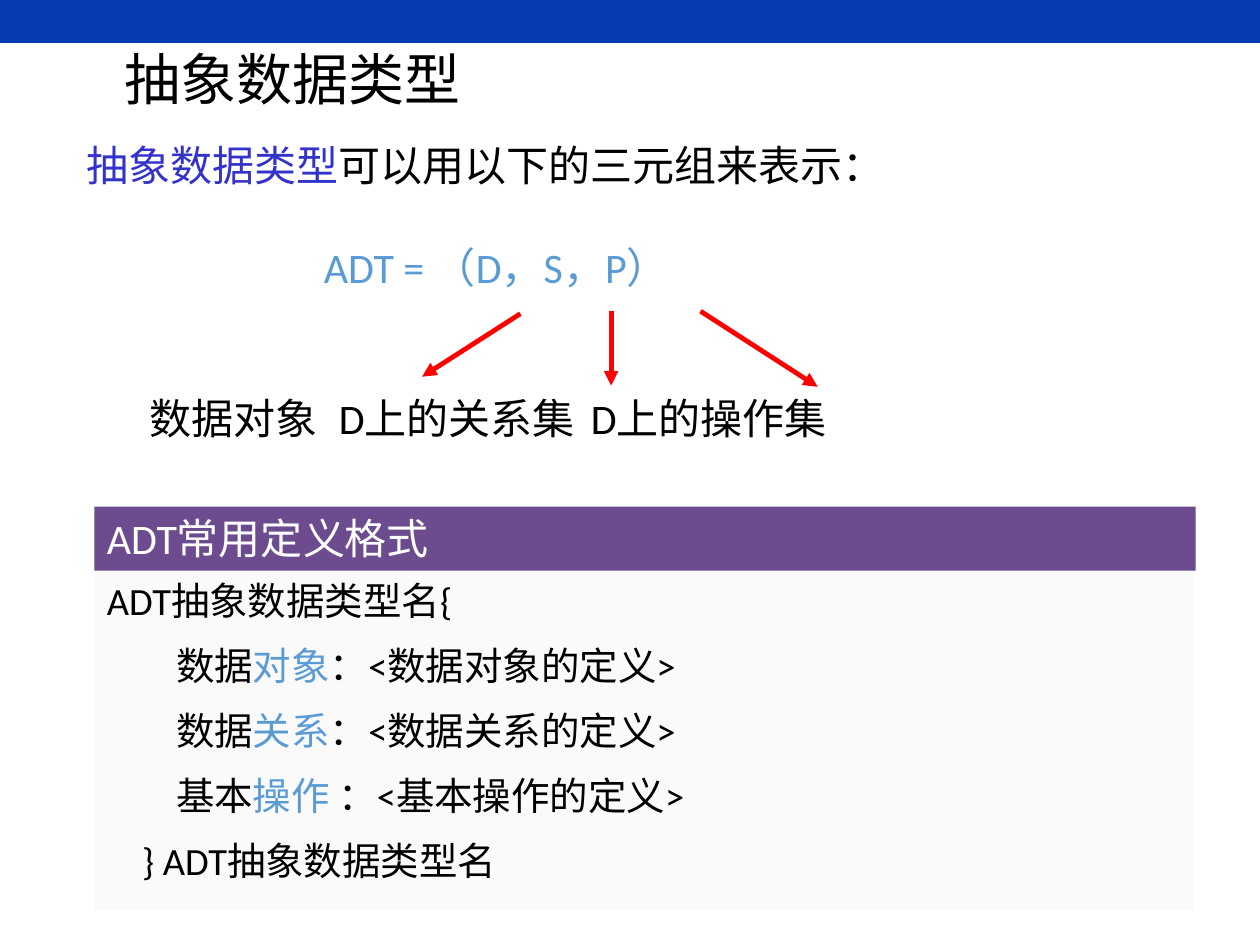
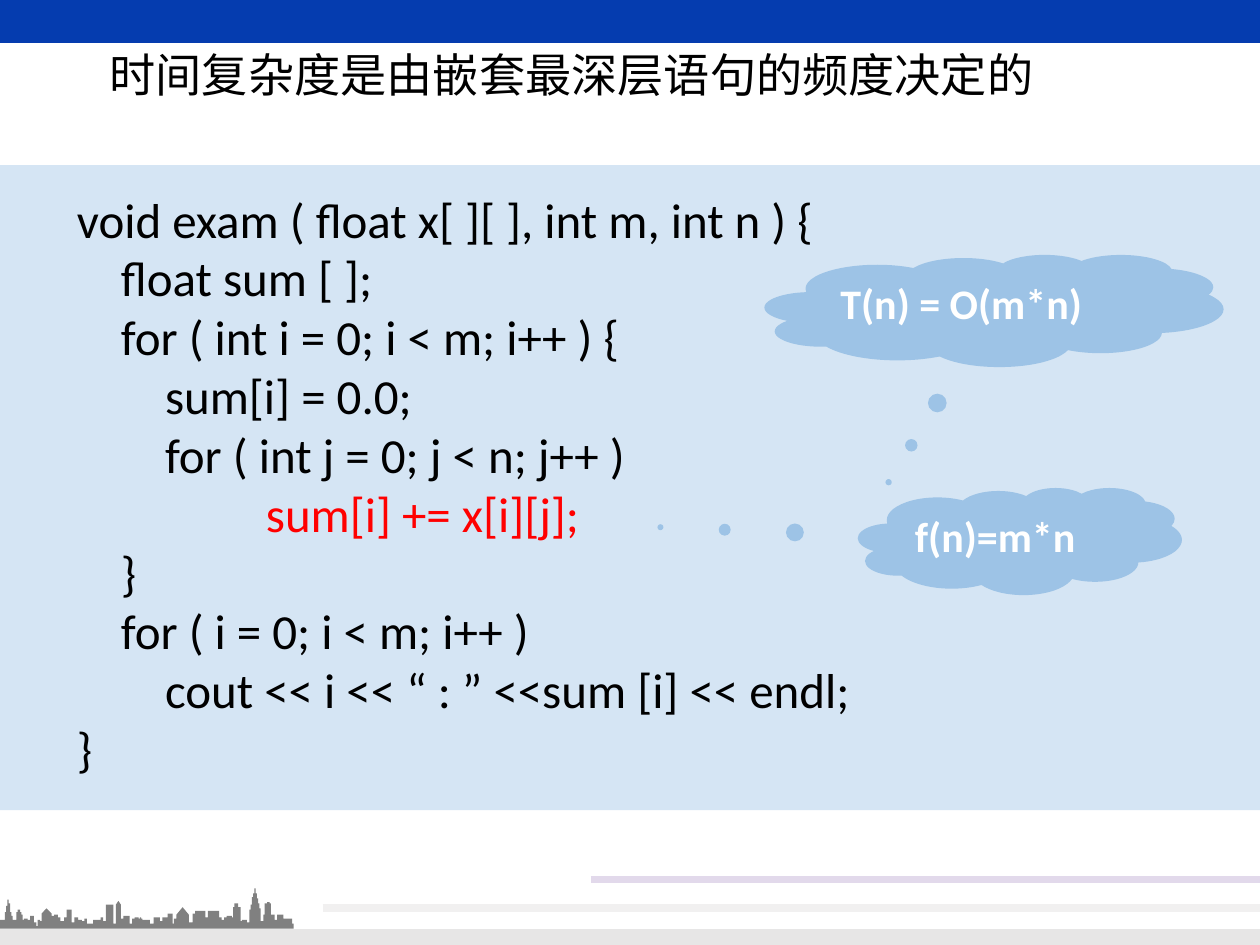
from dataclasses import dataclass

from lxml.etree import SubElement
from pptx import Presentation
from pptx.dml.color import RGBColor
from pptx.enum.shapes import MSO_CONNECTOR as Connector, MSO_SHAPE as Preset
from pptx.enum.text import MSO_ANCHOR as Anchor, MSO_AUTO_SIZE as AutoSize, PP_ALIGN as Align
from pptx.oxml.ns import qn
from pptx.util import Inches, Pt

COLORS = {
    "band": "053CAF", "black": "000000", "white": "FFFFFF", "term": "3333CC",
    "accent": "5B9BD5", "red": "FF0000", "header": "6C4C8F", "panel": "FAFAFA",
    "cloud": "9DC3E6", "skyline": "808080", "ground": "E7E6E6",
    "stripe": "F1F0F0", "lilac": "E2D9EB",
}
BODY_FONT = "Calibri"
TITLE_FONT = "Noto Sans CJK SC"


@dataclass(frozen=True)
class Frame:
    left: float
    top: float
    width: float
    height: float

    def lengths(self) -> list:
        return [Inches(v) for v in (self.left, self.top, self.width, self.height)]


@dataclass(frozen=True)
class Line:
    """One paragraph: (text, colour) spans, with indent and tabs in inches."""
    spans: tuple
    size: float = 24
    indent: float = 0
    before: float = 0
    tabs: tuple = ()
    bold: bool = False
    font: str = BODY_FONT
    spacing: float = 1.0


@dataclass(frozen=True)
class Stroke:
    start: tuple
    end: tuple
    color: str
    width: float
    arrow: bool = False


@dataclass(frozen=True)
class Cloud:
    frame: Frame
    text: str
    pointer: tuple


ARROWS = [
    Stroke((4.13, 2.49), (3.35, 2.99), "red", 2.75, True),
    Stroke((4.85, 2.47), (4.85, 3.06), "red", 2.75, True),
    Stroke((5.56, 2.47), (6.49, 3.07), "red", 2.75, True),
]
FOOTER = [
    Stroke((0, 7.45), (10, 7.45), "ground", 11.25),
    Stroke((2.56, 7.21), (10, 7.21), "stripe", 4.5),
    Stroke((4.69, 6.98), (10, 6.98), "lilac", 4.5),
]
CLOUDS = [
    Cloud(Frame(6.81, 3.87, 2.57, 0.85), "f(n)=m*n", (-1.11, -0.13)),
    Cloud(Frame(6.07, 2.02, 3.64, 0.89), "T(n) = O(m*n)", (-0.23, 1.53)),
]
FIELDS = [
    ("数据", "对象", "：<数据对象的定义>"),
    ("数据", "关系", "：<数据关系的定义>"),
    ("基本", "操作", " ：<基本操作的定义>"),
]
CODE = [  # indent in inches, text, colour
    (0.09, "void exam ( float x[ ][ ], int m, int n ) {", "black"),
    (0.44, "float sum [ ];", "black"),
    (0.44, "for ( int i = 0; i < m; i++ ) {", "black"),
    (0.79, "sum[i] = 0.0;", "black"),
    (0.79, "for ( int j = 0; j < n; j++ )", "black"),
    (1.59, "sum[i] += x[i][j];", "red"),
    (0.44, "}", "black"),
    (0.44, "for ( i = 0; i < m; i++ )", "black"),
    (0.79, "cout << i << “ : ” <<sum [i] << endl;", "black"),
    (0.09, "}", "black"),
]

# Hundredths of an inch: each roof runs from its x to the next x, at depth y below SKY_TOP.
SKY_TOP, GROUND = 700, 737
ROOFS = [
    (0, 30), (4, 24), (5, 19), (6, 14), (7, 17), (8, 24), (9, 27), (10, 30), (13, 24),
    (14, 22), (16, 24), (17, 26), (18, 30), (19, 29), (22, 30), (24, 27), (27, 32),
    (29, 35), (30, 30), (32, 31), (33, 25), (41, 27), (43, 26), (46, 28), (48, 31),
    (51, 28), (53, 22), (57, 32), (59, 28), (62, 30), (65, 31), (67, 29), (69, 33),
    (74, 30), (80, 28), (82, 31), (84, 18), (90, 33), (92, 18), (96, 29), (98, 27),
    (103, 33), (105, 29), (107, 28), (110, 29), (111, 28), (112, 29), (113, 30),
    (119, 33), (122, 28), (127, 31), (129, 28), (133, 25), (137, 33), (138, 29),
    (140, 26), (150, 32), (153, 25), (155, 23), (163, 28), (165, 23), (174, 28),
    (176, 30), (178, 28), (180, 27), (184, 28), (185, 20), (186, 17), (189, 20),
    (191, 31), (192, 30), (196, 32), (198, 22), (199, 18), (200, 12), (201, 9),
    (202, 5), (203, 9), (204, 13), (205, 17), (206, 21), (207, 31), (209, 26),
    (210, 17), (212, 16), (214, 17), (215, 26), (218, 30), (220, 26), (225, 29),
    (232, 33), (233, 37),
]
GABLES = {33: 21, 92: 15, 140: 20}  # roof x: depth of its peak


def rgb(name: str) -> RGBColor:
    return RGBColor.from_string(COLORS[name])


def write(frame, lines: list) -> None:
    """Fill a text frame with left-aligned, unbulleted lines."""
    frame.word_wrap = True
    frame.auto_size = AutoSize.NONE
    for number, line in enumerate(lines):
        para = frame.add_paragraph() if number else frame.paragraphs[0]
        para.alignment = Align.LEFT
        para.line_spacing = line.spacing
        para.space_before = Pt(line.before)
        para.space_after = Pt(0)
        properties = para._p.get_or_add_pPr()
        properties.set("marL", str(Inches(line.indent)))
        properties.set("indent", "0")
        SubElement(properties, qn("a:buNone"))
        if line.tabs:
            stops = SubElement(properties, qn("a:tabLst"))
            for stop in line.tabs:
                SubElement(stops, qn("a:tab"), pos=str(Inches(stop)), algn="l")
        for text, color in line.spans:
            span = para.add_run()
            span.text = text
            span.font.size = Pt(line.size)
            span.font.bold = line.bold
            span.font.name = line.font
            span.font.color.rgb = rgb(color)
            SubElement(span._r.get_or_add_rPr(), qn("a:ea"), typeface=line.font)


def place(shape, frame: Frame) -> None:
    shape.left, shape.top, shape.width, shape.height = frame.lengths()


def paint(shape, color: str) -> None:
    shape.shadow.inherit = False
    shape.fill.solid()
    shape.fill.fore_color.rgb = rgb(color)
    shape.line.fill.background()


def add_box(page, frame: Frame, color: str, preset=Preset.RECTANGLE):
    box = page.shapes.add_shape(preset, *frame.lengths())
    paint(box, color)
    box.text_frame.vertical_anchor = Anchor.TOP
    return box


def send_to_back(page, shape) -> None:
    page.shapes._spTree.insert(2, shape._element)


def add_stroke(page, stroke: Stroke) -> None:
    ends = [Inches(v) for v in stroke.start + stroke.end]
    connector = page.shapes.add_connector(Connector.STRAIGHT, *ends)
    connector.line.color.rgb = rgb(stroke.color)
    connector.line.width = Pt(stroke.width)
    if stroke.arrow:
        SubElement(connector.line._get_or_add_ln(), qn("a:tailEnd"), type="triangle")
    SubElement(connector._element.spPr, qn("a:effectLst"))


def add_page(deck, title: str, frame: Frame, size: float, spacing: float = 1.0):
    """Add a page with the top band and a formatted title."""
    page = deck.slides.add_slide(deck.slide_layouts[1])
    send_to_back(page, add_box(page, Frame(0, 0, 10, 0.34), "band"))
    heading = page.shapes.title
    place(heading, frame)
    heading.text_frame.vertical_anchor = Anchor.MIDDLE
    write(heading.text_frame, [Line(((title, "black"),), size, font=TITLE_FONT, spacing=spacing)])
    return page


def add_skyline(page) -> None:
    points = []
    for (x, roof), (next_x, _) in zip(ROOFS, ROOFS[1:]):
        points.append((x, SKY_TOP + roof))
        if x in GABLES:
            points.append(((x + next_x) / 2, SKY_TOP + GABLES[x]))
        points.append((next_x, SKY_TOP + roof))
    points.append((ROOFS[-1][0], GROUND))
    builder = page.shapes.build_freeform(0, GROUND, scale=Inches(0.01))
    builder.add_line_segments(points, close=True)
    paint(builder.convert_to_shape(), "skyline")


def build_data_type_page(deck) -> None:
    page = add_page(deck, "抽象数据类型", Frame(0.89, 0.31, 3.52, 0.62), 32)
    body = page.placeholders[1]
    place(body, Frame(0.59, 1.06, 9.17, 2.52))
    write(body.text_frame, [
        Line((("抽象数据类型", "term"), ("可以用以下的三元组来表示：", "black"))),
        Line((("ADT = （D，S，P）", "accent"),), indent=1.88, before=29),
        Line((("\t数据对象\tD上的关系集\tD上的操作集", "black"),), before=58,
             tabs=(1.58, 3.18, 5.51)),
    ])
    definition = add_box(page, Frame(0.75, 4.53, 8.73, 2.69), "panel")
    fields = [
        Line(((start, "black"), (key, "accent"), (rest, "black")), 22, 0.55, 10.7)
        for start, key, rest in FIELDS
    ]
    write(definition.text_frame, [
        Line((("ADT抽象数据类型名{", "black"),), 22, before=0.6),
        *fields,
        Line((("} ADT抽象数据类型名", "black"),), 22, 0.28, 10.7),
    ])
    header = add_box(page, Frame(0.75, 4.02, 8.74, 0.51), "header")
    write(header.text_frame, [Line((("ADT常用定义格式", "white"),))])
    for arrow in ARROWS:
        add_stroke(page, arrow)


def build_complexity_page(deck) -> None:
    page = add_page(deck, "时间复杂度是由嵌套最深层语句的频度决定的",
                    Frame(0.77, 0.36, 8.06, 0.57), 26.4, 0.7)
    panel = add_box(page, Frame(0, 1.31, 10, 5.12), "accent")
    color = panel._element.spPr.find(qn("a:solidFill"))[0]
    SubElement(color, qn("a:alpha"), val="25000")
    send_to_back(page, panel)
    body = page.placeholders[1]
    place(body, Frame(0.4, 1.44, 9.42, 4.8))
    frame = body.text_frame
    frame.margin_left = frame.margin_right = Inches(0.12)
    frame.margin_top = frame.margin_bottom = Inches(0.06)
    write(frame, [Line(((text, ink),), 28, indent) for indent, text, ink in CODE])
    for cloud in CLOUDS:
        callout = add_box(page, cloud.frame, "cloud", Preset.CLOUD_CALLOUT)
        callout.adjustments[0], callout.adjustments[1] = cloud.pointer
        write(callout.text_frame, [Line(((cloud.text, "white"),), bold=True)])
    for stroke in FOOTER:
        add_stroke(page, stroke)
    add_skyline(page)


def main() -> None:
    deck = Presentation()
    deck.slide_width, deck.slide_height = Inches(10), Inches(7.5)
    build_data_type_page(deck)
    build_complexity_page(deck)
    deck.save("out.pptx")


if __name__ == "__main__":
    main()
